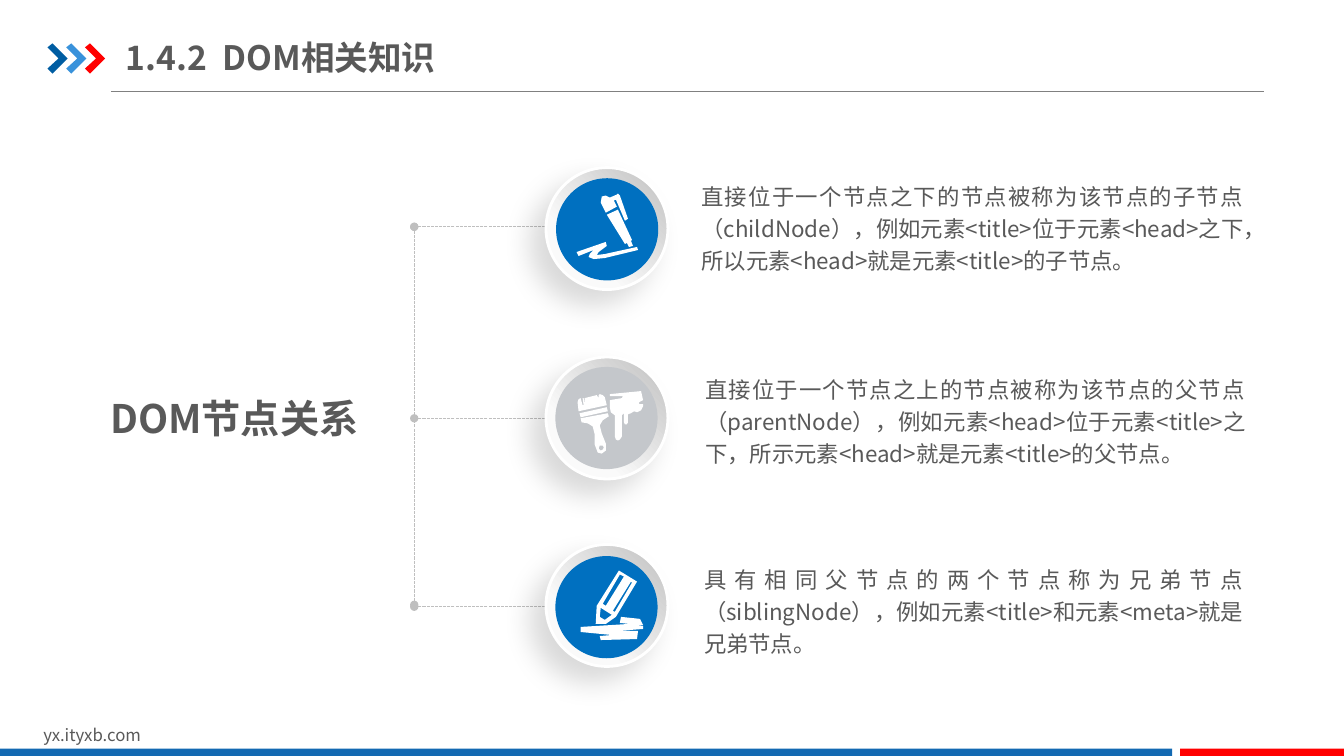
import pptx
import pptx.dml.color
import pptx.enum.dml
import pptx.enum.shapes
import pptx.enum.text
import pptx.oxml
import pptx.oxml.ns
import pptx.util

Pt = pptx.util.Pt
FONT = "Noto Sans CJK SC"
TEXT_GREY, LINE_GREY, WHITE = "595959", "BFBFBF", "FFFFFF"
BLUE, RED = "0070C0", "FF0000"
OVAL = pptx.enum.shapes.MSO_SHAPE.OVAL
RECTANGLE = pptx.enum.shapes.MSO_SHAPE.RECTANGLE


def paint(target, hex_color):
    """Fill a shape, or colour a line or font, with a solid colour."""
    target.fill.solid()
    target.fill.fore_color.rgb = pptx.dml.color.RGBColor.from_string(hex_color)


def add_span(para, text, size, bold=False):
    """Add one run in the slide's font to a paragraph."""
    span = para.add_run()
    span.text = text
    span.font.size = Pt(size)
    span.font.bold = bold
    span.font.name = FONT
    paint(span.font, TEXT_GREY)
    east_asian = pptx.oxml.parse_xml(
        f'<a:ea {pptx.oxml.ns.nsdecls("a")} typeface="{FONT}"/>')
    span.font._element.append(east_asian)


deck = pptx.Presentation()
deck.slide_width, deck.slide_height = Pt(960), Pt(540)
page = deck.slides.add_slide(deck.slide_layouts[5])
shapes = page.shapes

# Title
title = shapes.title
title.left, title.top, title.width, title.height = Pt(90), Pt(20.9), Pt(306.7), Pt(39.6)
frame = title.text_frame
frame.margin_left = frame.margin_right = 0
frame.margin_top = frame.margin_bottom = Pt(5)
frame.vertical_anchor = pptx.enum.text.MSO_ANCHOR.MIDDLE
frame.auto_size = pptx.enum.text.MSO_AUTO_SIZE.NONE
frame.paragraphs[0].alignment = pptx.enum.text.PP_ALIGN.LEFT
add_span(frame.paragraphs[0], "1.4.2  DOM相关知识", 24, True)

# Title rule and dotted tree: x1, y1, x2, y2, colour, dotted
TREE_X, BRANCH_END = 295.9, 436.3
lines = [(79.2, 65.5, 902.9, 65.5, "808080", False)]
lines += [(BRANCH_END, y, TREE_X, y, LINE_GREY, True) for y in (162, 298.8, 433.4)]
lines.append((TREE_X, 162, TREE_X, 432, LINE_GREY, True))
for x1, y1, x2, y2, color, dotted in lines:
    connector = shapes.add_connector(
        pptx.enum.shapes.MSO_CONNECTOR.STRAIGHT, Pt(x1), Pt(y1), Pt(x2), Pt(y2))
    connector.line.width = Pt(0.75)
    paint(connector.line, color)
    if dotted:
        connector.line.dash_style = pptx.enum.dml.MSO_LINE.SQUARE_DOT
        for end in ("headEnd", "tailEnd"):
            connector.line._get_or_add_ln().append(pptx.oxml.parse_xml(
                f'<a:{end} {pptx.oxml.ns.nsdecls("a")} type="oval"/>'))
    connector._element.spPr.append(pptx.oxml.parse_xml(
        f'<a:effectLst {pptx.oxml.ns.nsdecls("a")}/>'))

# Raised rings with a soft shadow
for top in (119.7, 255, 388.9):
    ring = shapes.add_shape(OVAL, Pt(390), Pt(top), Pt(87.1), Pt(87.1))
    ring.fill.gradient()
    ring.fill.gradient_angle = 225
    for stop, (position, color) in zip(ring.fill.gradient_stops,
                                       ((0, LINE_GREY), (0.7, "FAFAFA"))):
        stop.position = position
        stop.color.rgb = pptx.dml.color.RGBColor.from_string(color)
    ring.line.width = Pt(2)
    paint(ring.line, WHITE)
    ring.shadow.inherit = False
    effects = ring._element.spPr.find(pptx.oxml.ns.qn("a:effectLst"))
    effects.append(pptx.oxml.parse_xml(
        f'<a:outerShdw {pptx.oxml.ns.nsdecls("a")} blurRad="{Pt(20)}" dist="{Pt(15)}"'
        ' dir="8100000" algn="tr" rotWithShape="0"><a:srgbClr val="000000">'
        '<a:alpha val="15000"/></a:srgbClr></a:outerShdw>'))

# Coloured discs and footer bars
DISC = 73
for kind, left, top, width, height, color in (
        (OVAL, 397.2, 127.3, DISC, DISC, BLUE),
        (OVAL, 396.7, 262.1, DISC, DISC, "C4C7CB"),
        (OVAL, 396.7, 397.2, DISC, DISC, BLUE),
        (RECTANGLE, 0, 534.8, 837.2, 6.2, "1369B2"),
        (RECTANGLE, 843, 534.8, 117, 6.2, RED)):
    shape = shapes.add_shape(kind, Pt(left), Pt(top), Pt(width), Pt(height))
    paint(shape, color)
    shape.line.fill.background()
    shape.shadow.inherit = False

# Outlines, on a grid of 0.72 points
chevron = [[(0, 4), (5, 0), (20, 15), (5, 30), (0, 25), (11, 15)]]
pen = [
    [(32, 23), (43, 18), (57, 48), (56, 49), (58, 54), (54, 55), (52, 51), (50, 52)],
    [(2, 60), (4, 64), (19, 58), (15, 62), (14, 65), (19, 67), (30, 66), (63, 58),
     (62, 55), (30, 62), (22, 63), (24, 60), (32, 54), (31, 50)],
    [(35, 6), (31, 4), (27, 5), (26, 11), (31, 21), (42, 15), (39, 9), (41, 8),
     (50, 29), (53, 27), (45, 4), (43, 2), (42, 3)],
]
brushes = [
    [(53, 26), (53, 34), (52, 36), (50, 36), (49, 34), (49, 25), (47, 27), (47, 48),
     (45, 51), (43, 52), (41, 51), (40, 48), (40, 27), (36, 24), (35, 19), (35, 12),
     (47, 10), (48, 8), (35, 8), (35, 6), (66, 3), (68, 12), (64, 14), (64, 16),
     (68, 16), (68, 18), (66, 22), (62, 24), (59, 23), (56, 25)],
    [(5, 25), (32, 19), (33, 23), (6, 29)],
    [(33, 25), (6, 30), (7, 34), (13, 35), (18, 38), (20, 46), (20, 56), (23, 64),
     (27, 65), (31, 62), (31, 55), (27, 45), (25, 37), (28, 32), (34, 28)],
    [(25, 57), (28, 57), (29, 59), (28, 61), (26, 62), (24, 60)],
    [(32, 17), (30, 9), (28, 7), (25, 6), (24, 7), (24, 10), (22, 7), (10, 10),
     (11, 17), (9, 10), (8, 10), (9, 17), (8, 17), (6, 10), (4, 11), (3, 14), (4, 23)],
]
pencil = [
    [(44, 1), (62, 12), (41, 47), (31, 54), (21, 54), (22, 36)],
    [(62, 69), (63, 61), (42, 61), (68, 59), (68, 56), (61, 56), (68, 55), (65, 49),
     (46, 47), (45, 53), (54, 54), (6, 57), (6, 62), (37, 65), (25, 66), (26, 70)],
    [(30, 50), (37, 45), (26, 38), (25, 47)],
    [(56, 12), (38, 41), (40, 42), (57, 13)],
    [(45, 5), (28, 34), (31, 36), (49, 7)],
]

# Title chevrons and disc icons
for contours, left, top, color in (
        (chevron, 33.9, 31, "005DA2"), (chevron, 47.3, 31, "3992DB"),
        (chevron, 60.7, 31, RED), (pen, 410.4, 136.8, WHITE),
        (brushes, 410.4, 277.2, WHITE), (pencil, 410.4, 406.8, WHITE)):
    builder = shapes.build_freeform(*contours[0][0], scale=Pt(0.72))
    builder.add_line_segments(contours[0][1:], close=True)
    for contour in contours[1:]:
        builder.move_to(*contour[0])
        builder.add_line_segments(contour[1:], close=True)
    outline = builder.convert_to_shape(Pt(left), Pt(top))
    paint(outline, color)
    outline.line.fill.background()
    outline.shadow.inherit = False

# Heading and the three explanations: left, top, width, height, size, bold, text
for left, top, width, height, size, bold, text in (
        (78.8, 281.5, 208.8, 26, 28, True, "DOM节点关系"),
        (501, 126.7, 387.4, 70, 16, False,
         "直接位于一个节点之下的节点被称为该节点的子节点（childNode），例如元素<title>"
         "位于元素<head>之下，所以元素<head>就是元素<title>的子节点。"),
        (503.7, 264.5, 386.2, 68, 16, False,
         "直接位于一个节点之上的节点被称为该节点的父节点（parentNode），例如元素<head>"
         "位于元素<title>之下，所示元素<head>就是元素<title>的父节点。"),
        (502.9, 400.5, 385.2, 68, 16, False,
         "具有相同父节点的两个节点称为兄弟节点（siblingNode），例如元素<title>"
         "和元素<meta>就是兄弟节点。")):
    box = shapes.add_textbox(Pt(left), Pt(top), Pt(width), Pt(height))
    frame = box.text_frame
    frame.word_wrap = True
    frame.margin_left = frame.margin_right = frame.margin_top = frame.margin_bottom = 0
    para = frame.paragraphs[0]
    if not bold:
        para.alignment = pptx.enum.text.PP_ALIGN.JUSTIFY
        para.line_spacing = 1.2
    add_span(para, text, size, bold)

# Footer address
footer = shapes.add_textbox(Pt(23.9), Pt(514), Pt(229), Pt(21.8))
footer.text_frame.word_wrap = True
add_span(footer.text_frame.paragraphs[0], "yx.ityxb.com", 12)

deck.save("out.pptx")
